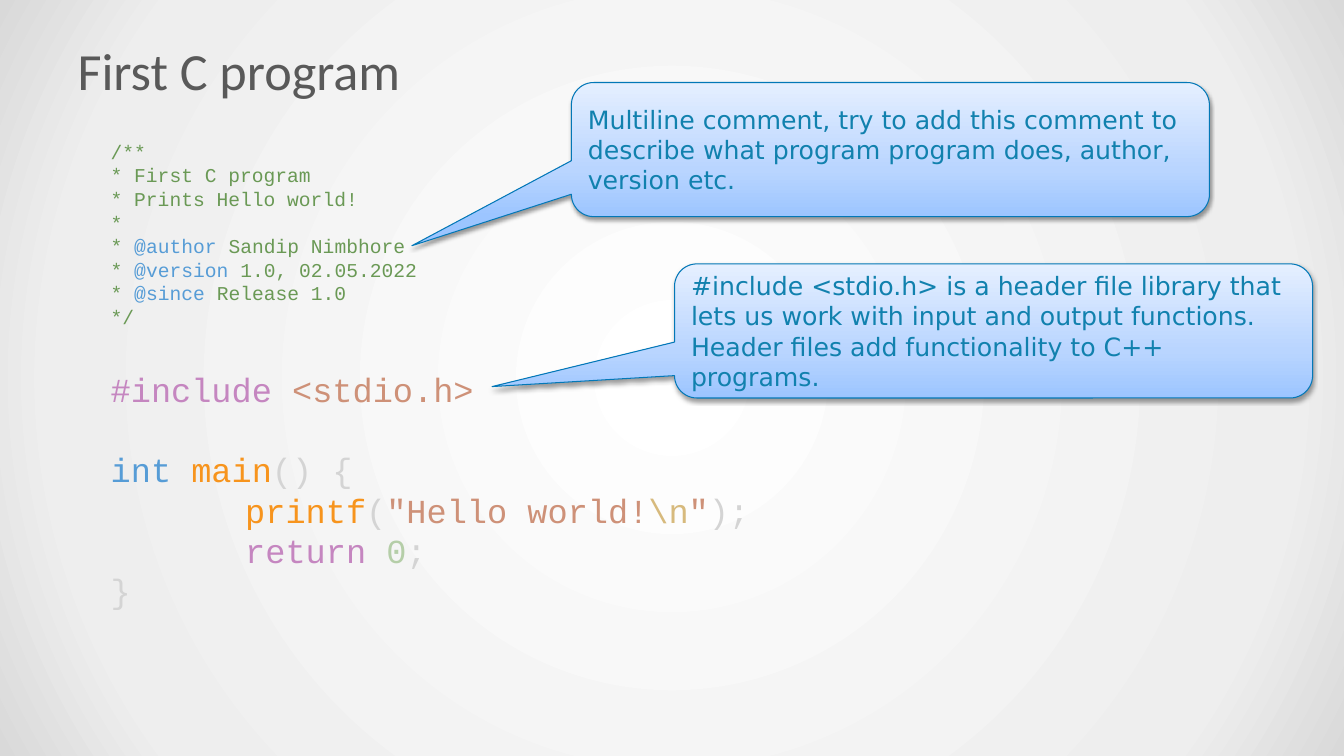
from lxml import etree
from pptx import Presentation
from pptx.dml.color import RGBColor
from pptx.enum.shapes import MSO_SHAPE
from pptx.enum.text import MSO_ANCHOR, MSO_AUTO_SIZE, PP_ALIGN
from pptx.oxml.ns import qn
from pptx.util import Cm, Pt

CALLOUT = MSO_SHAPE.ROUNDED_RECTANGULAR_CALLOUT
MIDDLE, TOP = MSO_ANCHOR.MIDDLE, MSO_ANCHOR.TOP
LEFT = PP_ALIGN.LEFT
GROW = MSO_AUTO_SIZE.SHAPE_TO_FIT_TEXT
TITLE_ONLY = 5

COLORS = {
    "title": "595959", "note": "1181AE", "outline": "0378B7", "shadow": "000000",
    "comment": "6A9955", "tag": "569CD6", "keyword": "C586C0", "string": "CE9178",
    "function": "F7941D", "plain": "D4D4D4", "escape": "D7BA7D", "number": "B5CEA8",
}
BACKDROP = [(0, "FFFFFF"), (81, "EEEEEE"), (100, "D9D9D9")]
CALLOUT_FILL = [(0, "9CC5FF"), (35, "B9D5FF"), (100, "E5EFFF")]

# Code lines as (text, colour) pieces
DOC_COMMENT = [
    [("/**", "comment")],
    [("* First C program", "comment")],
    [("* Prints Hello world!", "comment")],
    [("*", "comment")],
    [("* ", "comment"), ("@author", "tag"), (" Sandip Nimbhore", "comment")],
    [("* ", "comment"), ("@version", "tag"), (" 1.0, 02.05.2022", "comment")],
    [("* ", "comment"), ("@since", "tag"), (" Release 1.0", "comment")],
    [("*/", "comment")],
]
INCLUDE = [[("#include ", "keyword"), ("<stdio.h>", "string")]]
MAIN = [
    [("int ", "tag"), ("main", "function"), ("() {", "plain")],
    [("\t", "plain"), ("printf", "function"), ("(", "plain"),
     ('"Hello world!', "string"), ("\\n", "escape"), ('"', "string"), (");", "plain")],
    [("\treturn ", "keyword"), ("0", "number"), (";", "plain")],
    [("}", "plain")],
]


def add(parent, tag, **attributes):
    child = etree.SubElement(parent, qn(tag))
    for key, value in attributes.items():
        child.set(key, str(value))
    return child


class CodeSlide:
    """Holds the fonts and the current slide."""
    title_font, code_font, note_font = "Calibri", "Courier New", "DejaVu Sans"
    line_factor = 1.2
    tab_width = Cm(3.39)

    def __init__(self, presentation):
        self.slide = presentation.slides.add_slide(presentation.slide_layouts[TITLE_ONLY])

    def style(self, font, name, size, color=None):
        font.name, font.size = name, Pt(size)
        if color:
            font.color.rgb = RGBColor.from_string(COLORS[color])

    def gradient(self, fill, owner, stops, angle=None):
        """Linear at the given angle, or circular from the centre without one."""
        fill.gradient()
        grad = owner.find(".//" + qn("a:gradFill"))
        for child in list(grad):
            grad.remove(child)
        stop_list = add(grad, "a:gsLst")
        for position, color in stops:
            add(add(stop_list, "a:gs", pos=position * 1000), "a:srgbClr", val=color)
        if angle is None:
            circle = add(grad, "a:path", path="circle")
            add(circle, "a:fillToRect", l=50000, t=50000, r=50000, b=50000)
        else:
            add(grad, "a:lin", ang=angle * 60000, scaled=0)

    def backdrop(self, stops):
        self.gradient(self.slide.background.fill, self.slide.element, stops)

    def title(self, text, left, top, width, height):
        title = self.slide.shapes.title
        title.left, title.top, title.width, title.height = map(Cm, (left, top, width, height))
        title.text_frame.text = text
        title.text_frame.vertical_anchor = MIDDLE
        heading = title.text_frame.paragraphs[0]
        heading.alignment = LEFT
        self.style(heading.font, self.title_font, 37.3, "title")

    def code(self, blocks, left, top, width, height):
        """Each block is (size, lines); one line is left free between blocks."""
        box = self.slide.shapes.add_textbox(*map(Cm, (left, top, width, height)))
        frame = box.text_frame
        frame.word_wrap, frame.auto_size, frame.vertical_anchor = True, GROW, TOP
        line = frame.paragraphs[0]
        for block, (size, lines) in enumerate(blocks):
            for number, pieces in enumerate(lines):
                if block or number:
                    line = frame.add_paragraph()
                line.line_spacing = Pt(size * self.line_factor)
                if block and not number:
                    line.space_before = Pt(size * self.line_factor)
                if pieces[0][0].startswith("\t"):
                    tabs = add(line._p.get_or_add_pPr(), "a:tabLst")
                    add(tabs, "a:tab", pos=int(self.tab_width), algn="l")
                self.style(line.font, self.code_font, size)
                for text, color in pieces:
                    run = line.add_run()
                    run.text = text
                    run.font.color.rgb = RGBColor.from_string(COLORS[color])

    def callout(self, paragraphs, left, top, tip_x, tip_y):
        """The tip is given as a share of the size, from the centre."""
        bubble = self.slide.shapes.add_shape(CALLOUT, *map(Cm, (left, top, 16.08, 3.38)))
        for index, value in enumerate((tip_x, tip_y, 0.167)):
            bubble.adjustments[index] = value
        self.gradient(bubble.fill, bubble.element, CALLOUT_FILL, 270)
        bubble.line.color.rgb = RGBColor.from_string(COLORS["outline"])
        bubble.line.width = Pt(0.75)
        # Soft shadow below
        bubble.shadow.inherit = False
        effects = bubble.element.spPr.find(qn("a:effectLst"))
        shadow = add(effects, "a:outerShdw", blurRad=int(Pt(3.1)), dist=int(Pt(1.6)),
                     dir=90 * 60000, rotWithShape=0)
        add(add(shadow, "a:srgbClr", val=COLORS["shadow"]), "a:alpha", val=38000)
        # Explanation
        frame = bubble.text_frame
        frame.word_wrap, frame.vertical_anchor = True, MIDDLE
        frame.text = "\n".join(paragraphs)
        for paragraph in frame.paragraphs:
            paragraph.alignment = LEFT
            self.style(paragraph.font, self.note_font, 18, "note")


def main():
    presentation = Presentation()
    presentation.slide_width, presentation.slide_height = Cm(33.87), Cm(19.05)
    page = CodeSlide(presentation)
    page.backdrop(BACKDROP)
    page.title("First C program", 1.7, 0.76, 30.48, 1.98)
    page.code([(14, DOC_COMMENT), (24, INCLUDE), (24, MAIN)], 2.54, 3.4, 30.05, 13.26)
    page.callout(["Multiline comment, try to add this comment to describe what program "
                  "program does, author, version etc."], 14.4, 2.08, -0.75, 0.717)
    page.callout(["#include <stdio.h> is a header file library that lets us work with "
                  "input and output functions.",
                  "Header files add functionality to C++ programs."],
                 17, 6.65, -0.786, 0.415)
    presentation.save("out.pptx")


if __name__ == "__main__":
    main()
